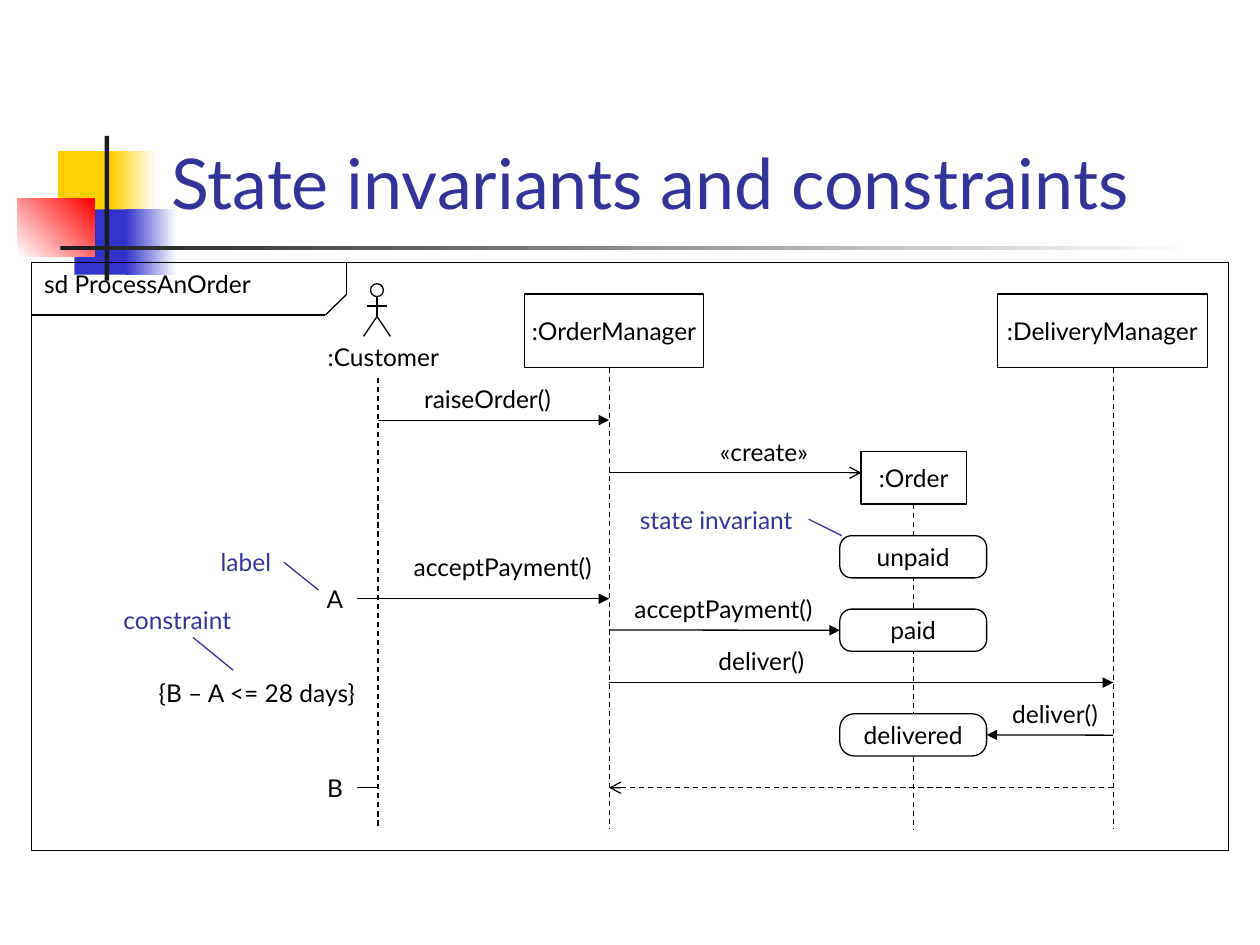
import lxml.etree
import pptx
import pptx.dml.color
import pptx.enum.dml
import pptx.enum.shapes
import pptx.enum.text
import pptx.oxml.ns
import pptx.util

Cm, Pt = pptx.util.Cm, pptx.util.Pt
SHAPE = pptx.enum.shapes.MSO_SHAPE
ALIGN = pptx.enum.text.PP_ALIGN
ANCHOR = pptx.enum.text.MSO_ANCHOR
qn = pptx.oxml.ns.qn

COLORS = {"black": "000000", "white": "FFFFFF", "ink": "333399", "yellow": "FFCF01",
          "blue": "3333CC", "red": "FF0000", "bar": "1C1C1C"}
BOTTOM, LEFT, RIGHT = 2, 1, 3


class Diagram:
    font, size, line_width, text_height = "Lato", 14, 0.75, 0.86

    def __init__(self, slide):
        self.slide = slide

    def color(self, name):
        return pptx.dml.color.RGBColor.from_string(COLORS[name])

    def set_text(self, s, text, color="black", size=None, align=ALIGN.CENTER, wrap=False):
        tf = s.text_frame
        tf.text = text
        tf.word_wrap = wrap
        tf.auto_size = pptx.enum.text.MSO_AUTO_SIZE.NONE
        p = tf.paragraphs[0]
        p.alignment = align
        font = p.runs[0].font
        font.name, font.size = self.font, Pt(size or self.size)
        font.color.rgb = self.color(color)
        return tf

    def title(self, text, *box):
        s = self.slide.shapes.title
        s.left, s.top, s.width, s.height = map(Cm, box)
        tf = self.set_text(s, text, "ink", 40, ALIGN.LEFT, True)
        tf.vertical_anchor = ANCHOR.BOTTOM

    def shape(self, kind, box, fill=None, line="black", text=None):
        s = self.slide.shapes.add_shape(kind, *map(Cm, box))
        s.shadow.inherit = False
        if fill:
            s.fill.solid()
            s.fill.fore_color.rgb = self.color(fill)
        else:
            s.fill.background()
        if line:
            s.line.color.rgb = self.color(line)
            s.line.width = Pt(self.line_width)
        else:
            s.line.fill.background()
        if text:
            self.set_text(s, text).vertical_anchor = ANCHOR.MIDDLE
        return s

    def fade(self, box, start, end, angle=0):
        s = self.shape(SHAPE.RECTANGLE, box, line=None)
        s.fill.gradient()
        s.fill.gradient_angle = angle
        for stop, name, position in zip(s.fill.gradient_stops, (start, end), (0, 1)):
            stop.color.rgb = self.color(name)
            stop.position = position

    def state(self, text, top, rounding=0.28):
        s = self.shape(SHAPE.ROUNDED_RECTANGLE, (16.93, top, 2.96, 0.85), "white", text=text)
        s.adjustments[0] = rounding
        return s

    def label(self, text, x, y, width, **style):
        s = self.slide.shapes.add_textbox(*map(Cm, (x, y, width, self.text_height)))
        self.set_text(s, text, **style)

    def callout(self, text, box, leader):
        s = self.shape(SHAPE.LINE_CALLOUT_1_NO_BORDER, box, "white", "ink", text)
        for i, value in enumerate(leader):
            s.adjustments[i] = value
        tf = self.set_text(s, text, "ink", align=ALIGN.LEFT)
        tf.margin_left = tf.margin_right = 0

    def line(self, x1, y1, x2, y2, color="black", dash=False, head=None, begin=None, end=None):
        s = self.slide.shapes.add_connector(
            pptx.enum.shapes.MSO_CONNECTOR.STRAIGHT, *map(Cm, (x1, y1, x2, y2)))
        if begin:
            s.begin_connect(*begin)
        if end:
            s.end_connect(*end)
        s.line.color.rgb = self.color(color)
        s.line.width = Pt(self.line_width)
        if dash:
            s.line.dash_style = pptx.enum.dml.MSO_LINE.DASH
        sp_pr = s._element.spPr
        if head:
            lxml.etree.SubElement(sp_pr.find(qn("a:ln")), qn("a:tailEnd"), type=head)
        lxml.etree.SubElement(sp_pr, qn("a:effectLst"))


def main():
    prs = pptx.Presentation()
    prs.slide_width, prs.slide_height = Cm(25.4), Cm(19.05)
    d = Diagram(prs.slides.add_slide(prs.slide_layouts[5]))

    # Corner decoration and title
    d.shape(SHAPE.RECTANGLE, (1.17, 3.05, 1.22, 1.32), "yellow", None)
    d.fade((2.24, 3.05, 0.91, 1.32), "yellow", "white")
    d.shape(SHAPE.RECTANGLE, (1.5, 4.22, 1.17, 1.32), "blue", None)
    d.fade((2.54, 4.22, 1.02, 1.32), "blue", "white")
    d.fade((0.36, 4.01, 1.55, 1.17), "white", "red", 45)
    d.shape(SHAPE.RECTANGLE, (2.11, 2.74, 0.09, 2.92), "bar", None)
    d.fade((1.22, 4.95, 22.86, 0.09), "bar", "white")
    d.title("State invariants and constraints", 3.2, 0.58, 21.64, 4.06)

    # Customer actor
    d.shape(SHAPE.OVAL, (7.47, 5.72, 0.26, 0.26))
    for limb in ((7.6, 5.98, 7.6, 6.38), (7.6, 6.38, 7.87, 6.78),
                 (7.6, 6.38, 7.33, 6.78), (7.39, 6.17, 7.8, 6.17)):
        d.line(*limb)
    d.label(":Customer", 6.27, 6.78, 2.92)

    # Objects and lifelines
    customer, manager, order, delivery, foot = 7.62, 12.28, 18.42, 22.44, 16.72
    order_box = d.shape(SHAPE.RECTANGLE, (17.36, 9.1, 2.12, 1.06), "white", text=":Order")
    d.shape(SHAPE.RECTANGLE, (20.11, 5.93, 4.23, 1.48), "white", text=":DeliveryManager")
    d.shape(SHAPE.RECTANGLE, (10.58, 5.93, 3.6, 1.48), "white", text=":OrderManager")
    d.line(order, 10.16, order, foot, dash=True, begin=(order_box, BOTTOM))
    for x, top in ((customer, 7.62), (manager, 7.41), (delivery, 7.41)):
        d.line(x, top, x, foot, dash=True)

    # State invariants
    d.state("unpaid", 10.8)
    paid = d.state("paid", 12.28)
    delivered = d.state("delivered", 14.39, 0.34)

    # Messages
    d.line(customer, 8.47, manager, 8.47, head="triangle")
    d.line(manager, 9.53, 17.36, 9.53, head="arrow")
    d.line(customer, 12.07, manager, 12.07, head="triangle")
    d.line(manager, 12.7, 16.93, 12.7, head="triangle", end=(paid, LEFT))
    d.line(manager, 13.76, delivery, 13.76, head="triangle")
    d.line(delivery, 14.82, 19.89, 14.82, head="triangle", end=(delivered, RIGHT))
    d.line(delivery, 15.88, manager, 15.88, dash=True, head="arrow")
    for text, x, y, width in (
            ("raiseOrder()", 8.18, 7.62, 3.3), ("«create»", 14.17, 8.69, 2.46),
            ("acceptPayment()", 7.95, 11, 4.37), ("acceptPayment()", 12.4, 11.86, 4.37),
            ("deliver()", 14.17, 12.9, 2.36), ("deliver()", 20.09, 13.97, 2.36)):
        d.label(text, x, y, width)

    # Time labels and constraint
    for text, y in (("A", 12.07), ("B", 15.88)):
        d.label(text, 6.35, y - 0.43, 0.81)
        d.line(customer, y, 7.2, y)
    d.label("{B – A <= 28 days}", 2.87, 13.54, 4.62)

    # Annotations
    d.callout("state invariant", (12.9, 10.16, 3.18, 0.64), (1, 1.28, 0.48, 1.07))
    d.callout("label", (4.45, 11, 1.06, 0.64), (1.4, 1.86, 0.52, 1.2))
    d.label("constraint", 2.24, 12.07, 2.84, color="ink", align=ALIGN.LEFT)
    d.line(4.7, 13.51, 3.89, 12.85, "ink")

    # Frame with its name tab
    d.shape(SHAPE.RECTANGLE, (0.64, 5.29, 24.13, 11.85))
    d.line(0.64, 6.35, 6.56, 6.35)
    d.line(6.99, 5.93, 6.99, 5.29)
    d.line(6.99, 5.93, 6.56, 6.35)
    d.label("sd ProcessAnOrder", 0.64, 5.29, 6.38, align=ALIGN.LEFT, wrap=True)

    prs.save("out.pptx")


if __name__ == "__main__":
    main()
